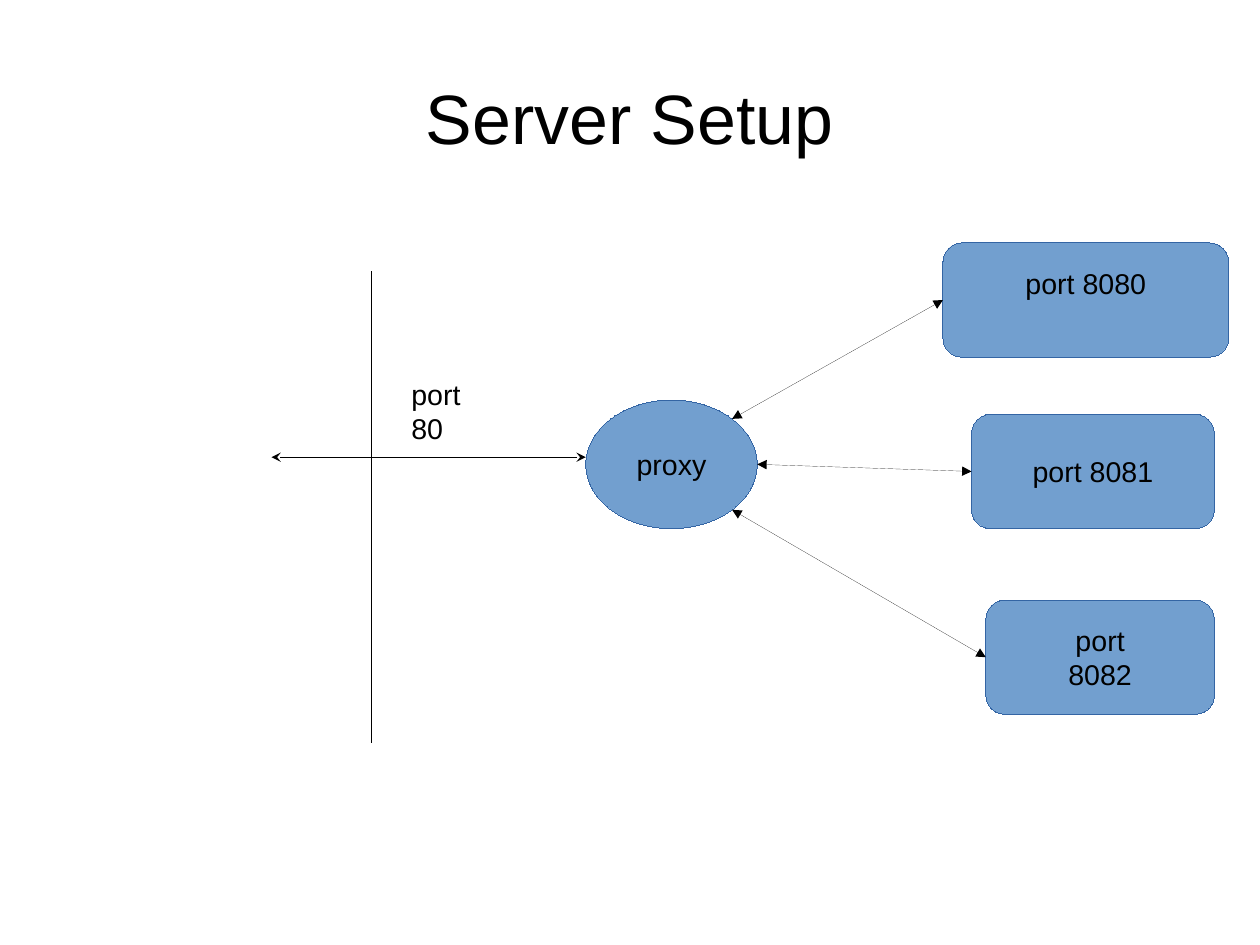
"""Builds the server setup slide: a proxy on port 80 in front of three ports."""
import math
from lxml import etree
from pptx import Presentation, util as u
from pptx.dml.color import RGBColor
from pptx.enum import shapes, text
from pptx.oxml.ns import qn

CELL = u.Inches(0.125)
HAIRLINE = u.Emu(1)
BLACK, BLUE, EDGE = "000000", "729FCF", "3465A4"

deck = Presentation()
deck.slide_width, deck.slide_height = u.Cm(28), u.Cm(21)
page = deck.slides.add_slide(deck.slide_layouts[6])


def write(box, lines, size=18, align=text.PP_ALIGN.CENTER):
    frame = box.text_frame
    frame.text = "\n".join(lines)
    frame.vertical_anchor = text.MSO_ANCHOR.MIDDLE
    for para in frame.paragraphs:
        para.alignment = align
        para.font.name, para.font.size = "Arial", u.Pt(size)
        para.font.color.rgb = RGBColor.from_string(BLACK)
    return frame


def draw_line(start, end, arrow=None):
    ends = [round(CELL * value) for value in (*start, *end)]
    line = page.shapes.add_connector(shapes.MSO_CONNECTOR.STRAIGHT, *ends)
    line.line.color.rgb = RGBColor.from_string(BLACK)
    line.line.width = HAIRLINE
    if arrow:
        for tag in ("a:headEnd", "a:tailEnd"):
            etree.SubElement(line.line._get_or_add_ln(), qn(tag), type=arrow)
    etree.SubElement(line._element.spPr, qn("a:effectLst"))
    return line


title = page.shapes.add_textbox(
    round(deck.slide_width * 0.05), round(deck.slide_height * 0.04),
    round(deck.slide_width * 0.9), round(deck.slide_height * 0.167))
frame = write(title, ["Server Setup"], 44)
frame.word_wrap = True
frame.margin_left = frame.margin_right = frame.margin_top = frame.margin_bottom = 0

draw_line((26, 19), (26, 52))
draw_line((19, 32), (41, 32), "stealth")

label = page.shapes.add_textbox(CELL * 28, CELL * 26, CELL * 7, round(CELL * 5.3))
frame = write(label, ["port 80"], align=text.PP_ALIGN.LEFT)
frame.word_wrap = True
frame.vertical_anchor = text.MSO_ANCHOR.TOP

OVAL, ROUNDED = shapes.MSO_SHAPE.OVAL, shapes.MSO_SHAPE.ROUNDED_RECTANGLE
nodes = []
for kind, left, top, width, height, lines in (
    (OVAL, 41, 28, 12, 9, ["proxy"]),
    (ROUNDED, 66, 17, 20, 8, ["port 8080"]),
    (ROUNDED, 68, 29, 17, 8, ["port 8081"]),
    (ROUNDED, 69, 42, 16, 8, ["port", "8082"]),
):
    node = page.shapes.add_shape(kind, *(CELL * n for n in (left, top, width, height)))
    node.shadow.inherit = False
    node.fill.solid()
    node.fill.fore_color.rgb = RGBColor.from_string(BLUE)
    node.line.color.rgb = RGBColor.from_string(EDGE)
    node.line.width = HAIRLINE
    write(node, lines).word_wrap = False
    nodes.append(node)

proxy, *ports = nodes
ports[0].text_frame.margin_bottom = u.Inches(0.34)

for port, angle in zip(ports, (-45, 0, 45)):
    turn = math.radians(angle)
    start = (47 + 6 * math.cos(turn), 32.5 + 4.5 * math.sin(turn))
    link = draw_line(start, (port.left / CELL, port.top / CELL + 4), "triangle")
    link.end_connect(port, 1)

deck.save("out.pptx")
